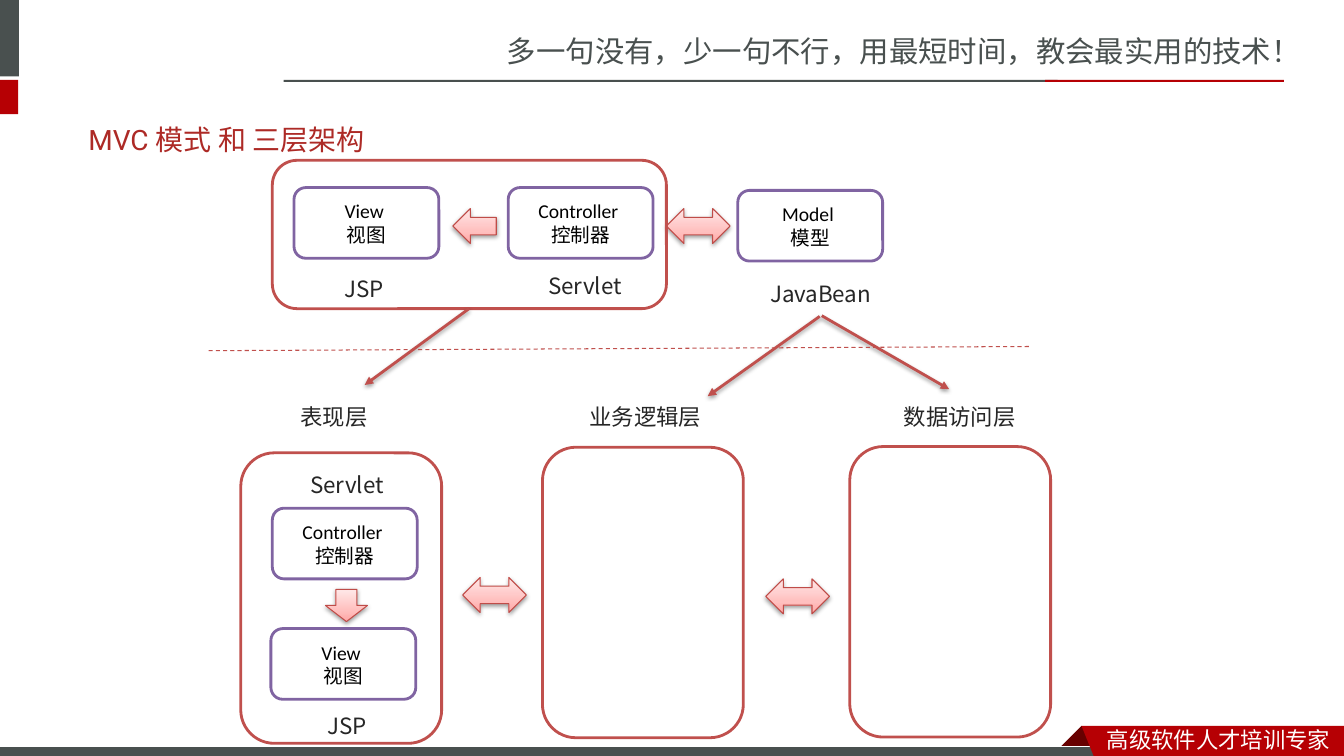
import pptx
import pptx.util
import pptx.oxml
import pptx.oxml.ns
import pptx.dml.color
import pptx.enum.dml
import pptx.enum.shapes
import pptx.enum.text
from dataclasses import dataclass

Pt = pptx.util.Pt
qn = pptx.oxml.ns.qn
SHAPE = pptx.enum.shapes.MSO_SHAPE
ANCHOR = pptx.enum.text.MSO_ANCHOR
ALIGN = pptx.enum.text.PP_ALIGN
NS = pptx.oxml.ns.nsdecls("a")


@dataclass(frozen=True)
class Theme:
    slate: str = "49504F"
    red: str = "B60004"
    fold: str = "680000"
    title: str = "AD2A26"
    panel: str = "C0504D"
    box: str = "8064A2"
    arrow: str = "BF4C48"
    label: str = "262626"
    black: str = "000000"
    white: str = "FFFFFF"
    gradient: tuple = ((0, "FFA6A5"), (35, "FFC0BF"), (100, "FFE7E7"))
    slogan_size: float = 21
    title_size: float = 20
    text_size: float = 16
    box_size: float = 14
    cjk: str = "Noto Sans CJK SC"
    label_font: str = "Noto Sans CJK JP"
    box_font: str = "Calibri"
    title_font: str = "Roboto"
    thick: float = 2
    thin: float = 0.75


def rgb(value):
    return pptx.dml.color.RGBColor.from_string(value)


def write(tf, text, *, size, color, font, ea, align=ALIGN.LEFT,
          anchor=ANCHOR.TOP, spacing=None, before=None):
    """Fill a text frame, one paragraph for each line of text."""
    tf.word_wrap = True
    tf.vertical_anchor = anchor
    for i, line in enumerate(text.split("\n")):
        p = tf.add_paragraph() if i else tf.paragraphs[0]
        p.alignment = align
        if spacing:
            p.line_spacing = spacing
        if before:
            p.space_before = Pt(before)
        r = p.add_run()
        r.text = line
        r.font.size = Pt(size)
        r.font.name = font
        r.font.color.rgb = rgb(color)
        r.font._element.append(pptx.oxml.parse_xml(f'<a:ea {NS} typeface="{ea}"/>'))


def set_effect(spPr, shadow):
    """Replace inherited effects by a soft drop shadow or by none."""
    inner = ('<a:outerShdw blurRad="40000" dist="20000" dir="5400000" rotWithShape="0">'
             '<a:srgbClr val="000000"><a:alpha val="38000"/></a:srgbClr>'
             '</a:outerShdw>') if shadow else ""
    spPr.append(pptx.oxml.parse_xml(f"<a:effectLst {NS}>{inner}</a:effectLst>"))


class Deck:
    def __init__(self, theme):
        self.theme = theme
        self.prs = pptx.Presentation()
        self.prs.slide_width = Pt(960)
        self.prs.slide_height = Pt(540)
        self.s = self.prs.slides.add_slide(self.prs.slide_layouts[6])

    def paint(self, sp, fill=None, line=None, width=0.75, shadow=False):
        if fill:
            sp.fill.solid()
            sp.fill.fore_color.rgb = rgb(fill)
        else:
            sp.fill.background()
        if line:
            sp.line.color.rgb = rgb(line)
            sp.line.width = Pt(width)
        else:
            sp.line.fill.background()
        set_effect(sp._element.spPr, shadow)
        return sp

    def shape(self, kind, x, y, w, h, **style):
        sp = self.s.shapes.add_shape(kind, Pt(x), Pt(y), Pt(w), Pt(h))
        return self.paint(sp, **style)

    def polygon(self, points, fill):
        (x, y), *rest = [(Pt(px), Pt(py)) for px, py in points]
        builder = self.s.shapes.build_freeform(x, y)
        builder.add_line_segments(rest, close=True)
        self.paint(builder.convert_to_shape(), fill=fill)

    def text(self, text, x, y, w, h, **style):
        sp = self.s.shapes.add_textbox(Pt(x), Pt(y), Pt(w), Pt(h))
        write(sp.text_frame, text, **{"font": self.theme.cjk, "ea": self.theme.cjk, **style})

    def label(self, text, x, y, w, h):
        t = self.theme
        self.text(text, x, y, w, h, size=t.text_size, color=t.label,
                  font=t.label_font, ea=t.label_font, spacing=1.5, before=3.2)

    def panel(self, x, y, w=143.5, h=207.5, fill=None):
        t = self.theme
        self.shape(SHAPE.ROUNDED_RECTANGLE, x, y, w, h, fill=fill, line=t.panel, width=t.thick)

    def box(self, text, x, y):
        t = self.theme
        sp = self.shape(SHAPE.ROUNDED_RECTANGLE, x, y, 103.5, 50.5,
                        fill=t.white, line=t.box, width=t.thick)
        write(sp.text_frame, text, size=t.box_size, color=t.black, font=t.box_font,
              ea=t.cjk, align=ALIGN.CENTER, anchor=ANCHOR.MIDDLE)

    def block_arrow(self, kind, x, y, w=45.5, h=25):
        t = self.theme
        sp = self.shape(kind, x, y, w, h, line=t.arrow, width=t.thin, shadow=True)
        sp.fill.gradient()
        sp.fill.gradient_angle = 90
        stops = sp._element.spPr.find(".//" + qn("a:gsLst"))
        for stop in list(stops):
            stops.remove(stop)
        for pos, color in t.gradient:
            stops.append(pptx.oxml.parse_xml(
                f'<a:gs {NS} pos="{pos * 1000}"><a:srgbClr val="{color}"/></a:gs>'))

    def line(self, x1, y1, x2, y2, width, arrow=False, dash=None):
        sp = self.s.shapes.add_connector(pptx.enum.shapes.MSO_CONNECTOR.STRAIGHT,
                                         Pt(x1), Pt(y1), Pt(x2), Pt(y2))
        sp.line.color.rgb = rgb(self.theme.panel)
        sp.line.width = Pt(width)
        if dash:
            sp.line.dash_style = dash
        spPr = sp._element.spPr
        if arrow:
            spPr.find(qn("a:ln")).append(
                pptx.oxml.parse_xml(f'<a:tailEnd {NS} type="triangle"/>'))
        set_effect(spPr, arrow)


def draw_frame(deck):
    t = deck.theme
    deck.text("多一句没有，少一句不行，用最短时间，教会最实用的技术！", 355, 20, 605.5, 34,
              size=t.slogan_size, color=t.slate)
    for x, y, w, h, fill in ((-4.5, 0, 18, 54.5, t.slate), (-4.5, 57, 17.5, 24.5, t.red),
                             (202.5, 57, 553, 1.5, t.slate), (746.5, 57, 170.5, 1.5, t.red)):
        deck.shape(SHAPE.RECTANGLE, x, y, w, h, fill=fill)
    deck.polygon([(772.5, 518.5), (788.5, 534.5), (787.5, 535), (757.5, 535), (756.5, 534.5)],
                 t.fold)
    deck.shape(SHAPE.RECTANGLE, -0.5, 533.5, 792, 8.5, fill=t.slate, line=t.white, width=t.thin)
    deck.polygon([(772.5, 518.5), (960, 518.5), (960, 543), (782, 542)], t.red)
    deck.text("高级软件人才培训专家", 783.5, 515, 176.5, 26.5, size=t.text_size, color=t.white)
    deck.text("MVC 模式 和 三层架构", 56, 79, 844, 41, size=t.title_size, color=t.title,
              font=t.title_font, anchor=ANCHOR.MIDDLE)


def draw_mvc(deck):
    deck.box("Controller \n控制器", 363, 134)
    deck.box("Model \n模型", 527, 136)
    deck.box("View \n视图", 210, 134)
    deck.block_arrow(SHAPE.LEFT_RIGHT_ARROW, 476, 149)
    deck.block_arrow(SHAPE.LEFT_ARROW, 323.5, 149, w=31)
    deck.label("Servlet", 384.5, 181.5, 93, 34.5)
    deck.label("JSP", 239, 183.5, 46, 38)
    deck.label("JavaBean", 543, 187, 88.5, 38)
    deck.panel(194.5, 114.5, 281.5, 106)


def draw_layers(deck):
    t = deck.theme
    for name, label_x, x, y in (("表现层", 207.5, 172, 323.5),
                                ("业务逻辑层", 414, 387.5, 319.5),
                                ("数据访问层", 638.5, 607, 319)):
        deck.panel(x, y, fill=t.white)
        deck.label(name, label_x, 275, 108, 34.5)
    deck.box("Controller \n控制器", 194.5, 363)
    deck.box("View \n视图", 193.5, 449)
    deck.block_arrow(SHAPE.DOWN_ARROW, 232.5, 421, 30, 23)
    for x, y in ((330.5, 412.5), (547, 413.5)):
        deck.block_arrow(SHAPE.LEFT_RIGHT_ARROW, x, y)
    deck.label("Servlet", 214.5, 323.5, 93, 34.5)
    deck.label("JSP", 227, 495.5, 46, 38)
    for ends in ((335, 220.5, 260.5, 275), (587, 225.5, 678, 278), (585.5, 226, 505.5, 283)):
        deck.line(*ends, width=t.thick, arrow=True)
    deck.line(149, 250.5, 736.5, 247.5, width=t.thin, dash=pptx.enum.dml.MSO_LINE.DASH)


def main():
    deck = Deck(Theme())
    draw_frame(deck)
    draw_mvc(deck)
    draw_layers(deck)
    deck.prs.save("out.pptx")


if __name__ == "__main__":
    main()
